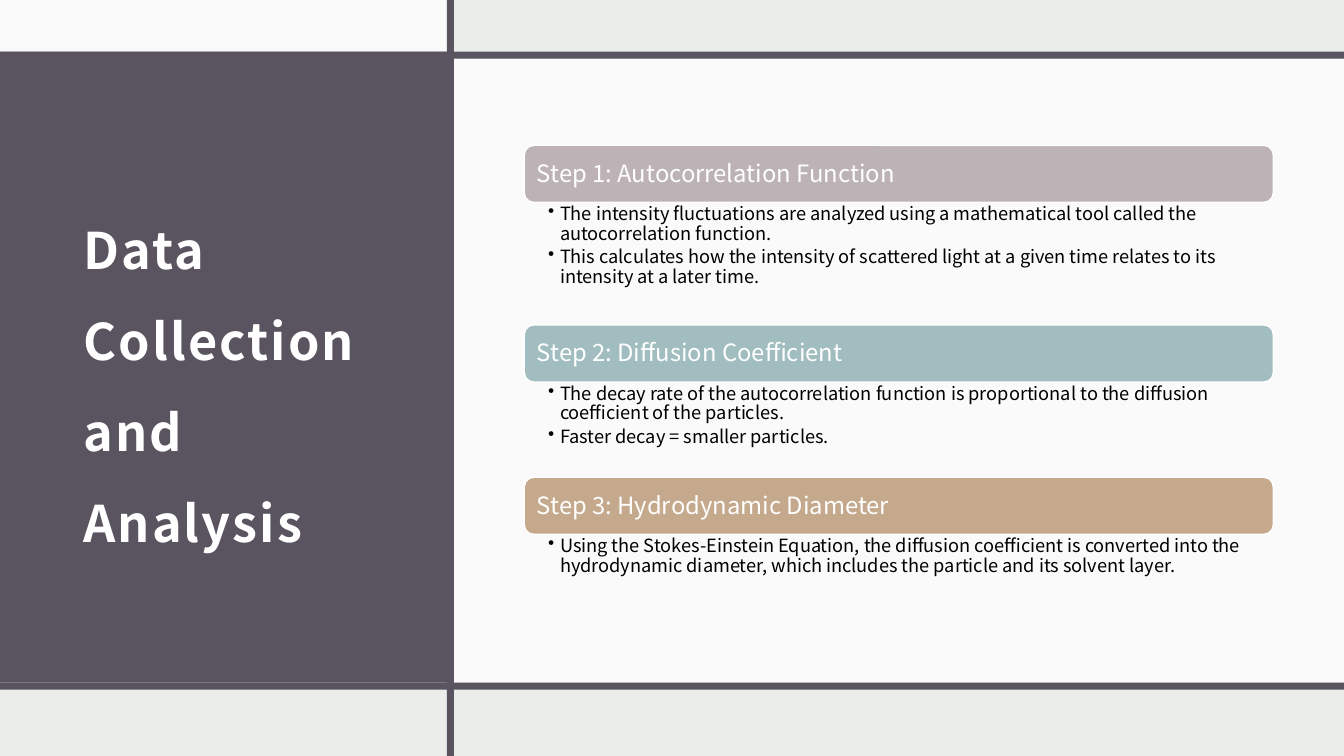
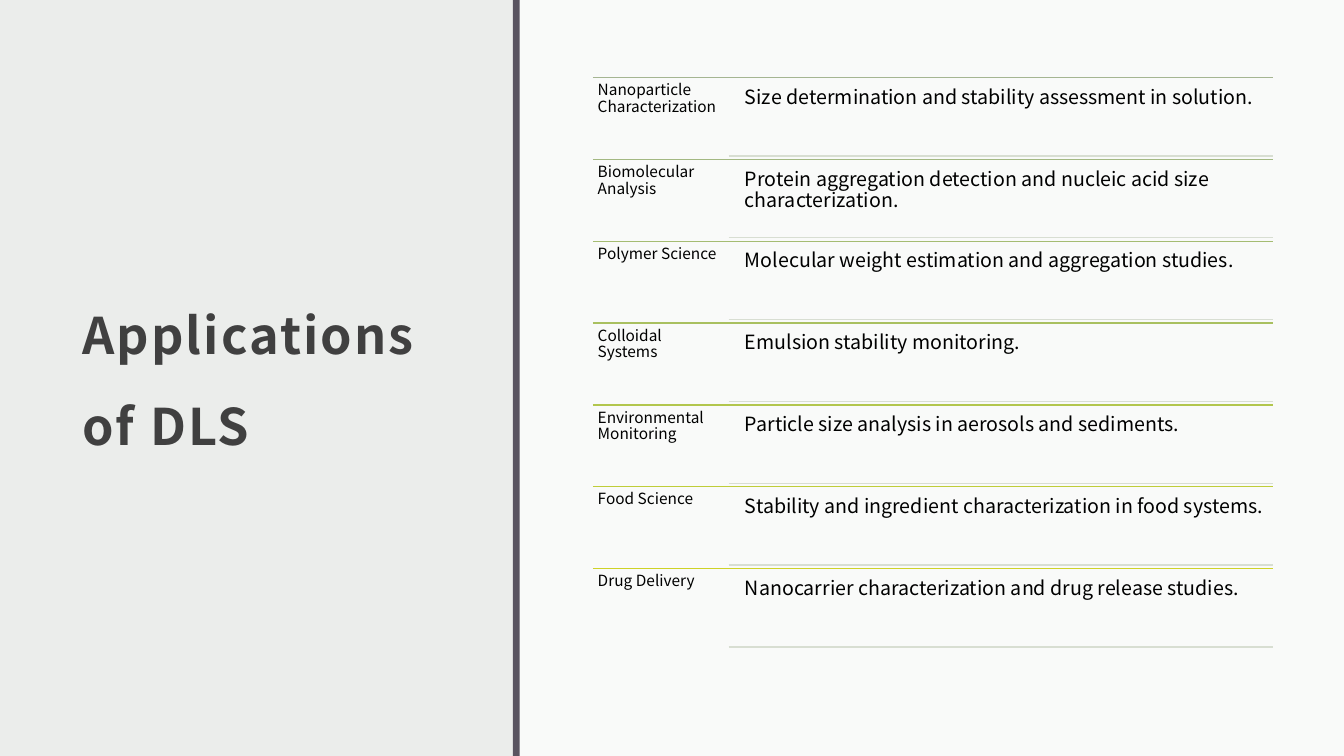
from dataclasses import dataclass

from lxml import etree
from pptx import Presentation
from pptx.dml.color import RGBColor
from pptx.enum import shapes, text
from pptx.oxml.ns import qn
from pptx.util import Pt


@dataclass(frozen=True)
class Theme:
    font: str = "Noto Sans CJK JP"
    back: str = "EBEDEB"
    white: str = "FFFFFF"
    black: str = "000000"
    dark: str = "595460"
    grey: str = "404040"
    rule: str = "D8DED2"
    # Each type style is a size and a line pitch.
    title: tuple = (36, 65)
    head: tuple = (17, 18.5)
    body: tuple = (13, 14)
    use: tuple = (14, 15)
    label: tuple = (11, 11.8)


T = Theme()
WIDE, HIGH = 960, 540
BAND = 5

STEPS = [
    ("Step 1: Autocorrelation Function", "BDB3B6", 87.5, [
        "The intensity fluctuations are analyzed using a mathematical tool "
        "called the autocorrelation function.",
        "This calculates how the intensity of scattered light at a given time "
        "relates to its intensity at a later time."]),
    ("Step 2: Diffusion Coefficient", "A1BDC0", 68, [
        "The decay rate of the autocorrelation function is proportional to "
        "the diffusion coefficient of the particles.",
        "Faster decay = smaller particles."]),
    ("Step 3: Hydrodynamic Diameter", "C5A98D", 44, [
        "Using the Stokes-Einstein Equation, the diffusion coefficient is "
        "converted into the hydrodynamic diameter, which includes the "
        "particle and its solvent layer."]),
]

USES = [
    ("Nanoparticle Characterization", "A5B592",
     "Size determination and stability assessment in solution."),
    ("Biomolecular Analysis", "A3B882",
     "Protein aggregation detection and nucleic acid size characterization."),
    ("Polymer Science", "A5BC72",
     "Molecular weight estimation and aggregation studies."),
    ("Colloidal Systems", "A9C060", "Emulsion stability monitoring."),
    ("Environmental Monitoring", "B2C64D",
     "Particle size analysis in aerosols and sediments."),
    ("Food Science", "BFCD39",
     "Stability and ingredient characterization in food systems."),
    ("Drug Delivery", "CED228",
     "Nanocarrier characterization and drug release studies."),
]


def rgb(code):
    return RGBColor.from_string(code)


def box(slide, at, fill, alpha=None, kind=shapes.MSO_SHAPE.RECTANGLE):
    """Add a filled shape; alpha is its opacity in percent."""
    shape = slide.shapes.add_shape(kind, *map(Pt, at))
    shape.shadow.inherit = False
    shape.fill.solid()
    shape.fill.fore_color.rgb = rgb(fill)
    shape.line.fill.background()
    if alpha:
        tint = shape.element.spPr.find(".//" + qn("a:srgbClr"))
        etree.SubElement(tint, qn("a:alpha"), val=str(alpha * 1000))
    return shape


def pane(slide, *at):
    box(slide, at, T.white, alpha=75)


def band(slide, *at):
    box(slide, at, T.dark)


def write(shape, lines, style, color, pads, mid=False, bold=False):
    """Fill a shape with paragraphs; pads run left, top, right, bottom."""
    size, pitch = style
    frame = shape.text_frame
    frame.word_wrap = True
    frame.auto_size = text.MSO_AUTO_SIZE.NONE
    frame.vertical_anchor = text.MSO_ANCHOR.MIDDLE if mid else text.MSO_ANCHOR.TOP
    (frame.margin_left, frame.margin_top,
     frame.margin_right, frame.margin_bottom) = map(Pt, pads)
    frame.text = "\n".join(lines)
    for para in frame.paragraphs:
        para.alignment = text.PP_ALIGN.LEFT
        para.line_spacing = Pt(pitch)
        for run in para.runs:
            run.font.name = T.font
            run.font.size = Pt(size)
            run.font.bold = bold
            run.font.color.rgb = rgb(color)
    return frame


def note(slide, at, lines, style, color, pads, **opts):
    shape = slide.shapes.add_textbox(*map(Pt, at))
    return write(shape, lines, style, color, pads, **opts)


def title(slide, at, words, color):
    frame = note(slide, at, [words], T.title, color, (8.6, 8.6, 8.6, 7.2),
                 mid=True, bold=True)
    for run in frame.paragraphs[0].runs:
        run.font._element.set("spc", "150")


def bullet(para):
    para.space_after = Pt(3)
    props = para._p.get_or_add_pPr()
    props.set("marL", str(Pt(8.6)))
    props.set("indent", str(-Pt(8.6)))
    etree.SubElement(props, qn("a:buChar"), char="•")


def line(slide, left, right, top, color):
    rule = slide.shapes.add_connector(
        shapes.MSO_CONNECTOR.STRAIGHT, Pt(left), Pt(top), Pt(right), Pt(top))
    rule.line.color.rgb = rgb(color)
    rule.line.width = Pt(1)
    etree.SubElement(rule.element.spPr, qn("a:effectLst"))


def step(slide, top, head, fill, high, lines):
    """Add a step bar with its bullets and return where the next one starts."""
    left, wide, tall = 374.5, 535, 40.8
    bar = box(slide, (left, top, wide, tall), fill,
              kind=shapes.MSO_SHAPE.ROUNDED_RECTANGLE)
    bar.line.color.rgb = rgb(T.white)
    bar.line.width = Pt(1)
    write(bar, [head], T.head, T.white, (7, 7, 7, 7), mid=True)
    frame = note(slide, (left, top + tall, wide, high), lines, T.body,
                 T.black, (17, 1.5, 9.5, 1.5))
    for para in frame.paragraphs:
        bullet(para)
    return top + tall + high


def use(slide, top, name, color, words):
    left, split, right = 423.5, 520.5, 909.5
    line(slide, left, right, top, color)
    note(slide, (left, top, split - left, 58.5), [name], T.label, T.black,
         (3.5, 3.5, 3.5, 3.5))
    inner = split + 7.3
    note(slide, (inner, top + 2.6, right - inner, 53), [words], T.use,
         T.black, (4.3, 4.3, 4.3, 4.3))
    line(slide, split, right, top + 56, T.rule)


def page(deck):
    slide = deck.slides.add_slide(deck.slide_layouts[6])
    slide.background.fill.solid()
    slide.background.fill.fore_color.rgb = rgb(T.back)
    return slide


def method(deck):
    slide = page(deck)
    upper, lower, split = 37, 487.6, 319.3
    box(slide, (0, upper, split, lower - upper), T.dark)
    title(slide, (51, 94.3, 245.5, 339), "Data Collection and Analysis", T.white)
    pane(slide, 0, 0, split, upper)
    edge = split + BAND
    pane(slide, edge, upper + BAND, WIDE - edge, lower - upper - BAND)
    band(slide, 0, lower, WIDE, BAND)
    band(slide, split, 0, BAND, HIGH)
    band(slide, 0, upper, WIDE, BAND)
    top = 103.8
    for item in STEPS:
        top = step(slide, top, *item)


def areas(deck):
    slide = page(deck)
    split = 366.3
    title(slide, (50.4, 55.4, 268.6, 409), "Applications of DLS", T.grey)
    pane(slide, split, 0, WIDE - split, HIGH)
    band(slide, split, 0, BAND, HIGH)
    for row, item in enumerate(USES):
        use(slide, 55.4 + row * 58.45, *item)


def main():
    deck = Presentation()
    deck.slide_width, deck.slide_height = Pt(WIDE), Pt(HIGH)
    method(deck)
    areas(deck)
    deck.save("out.pptx")


if __name__ == "__main__":
    main()
